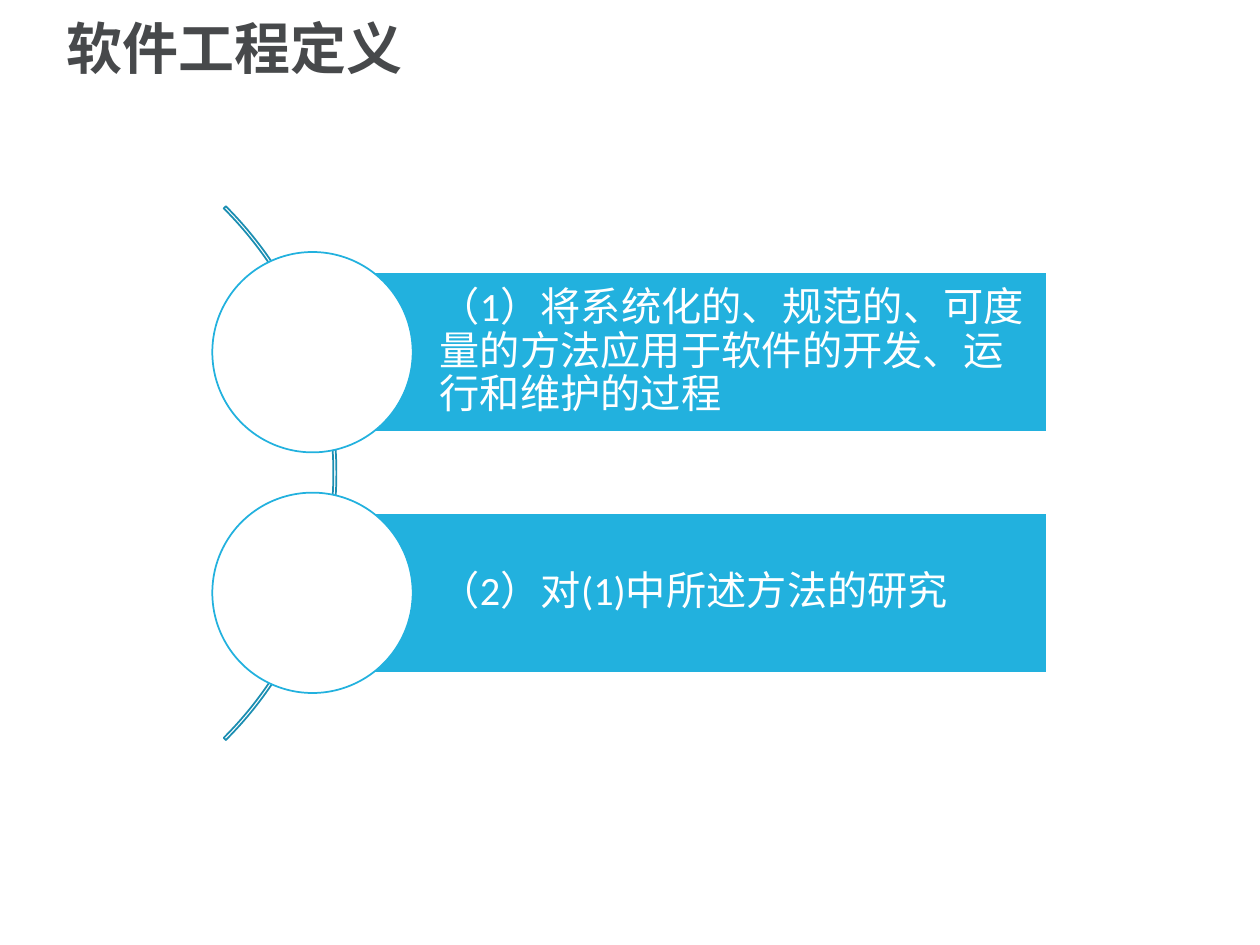
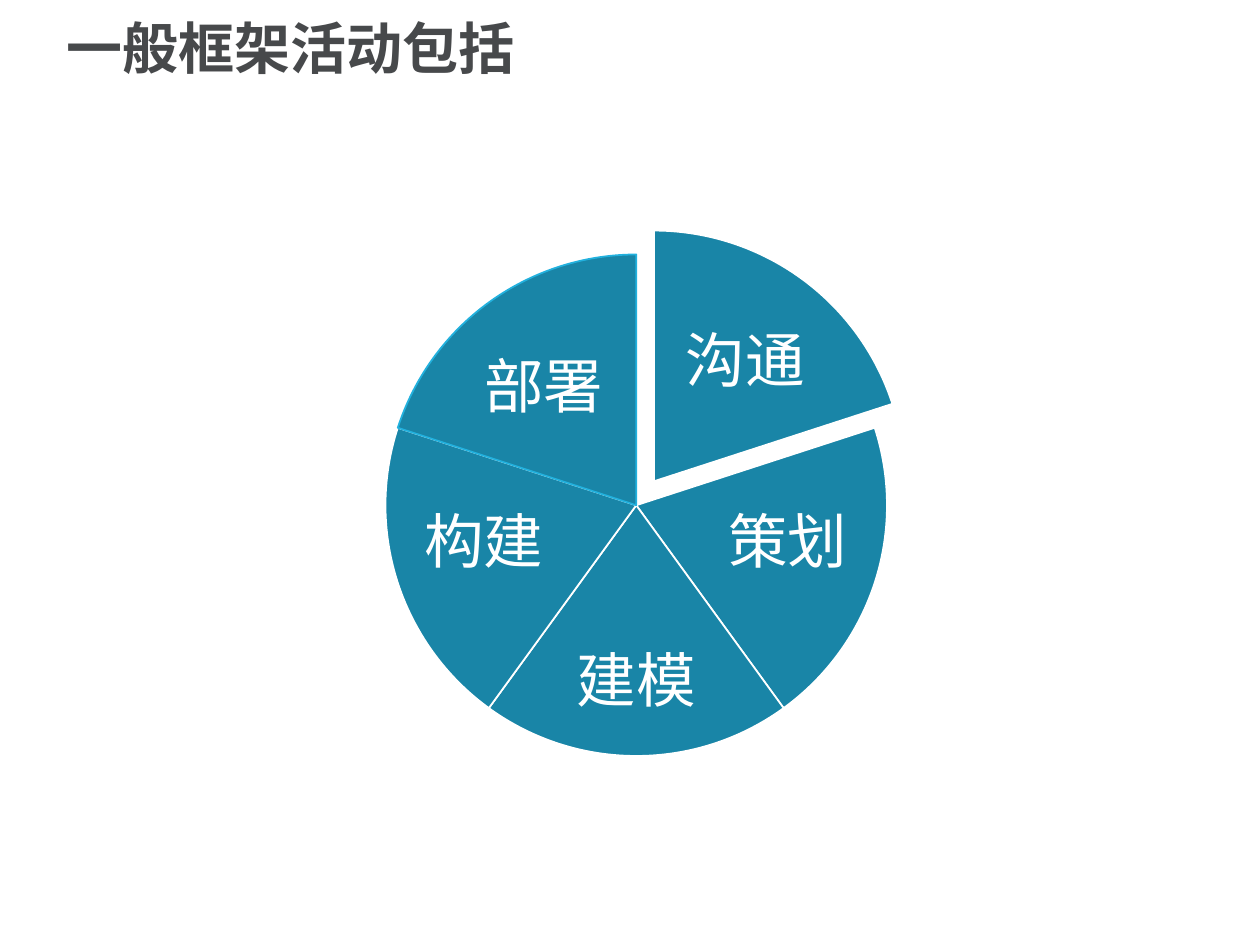
import pptx
import pptx.dml.color
import pptx.enum.shapes
import pptx.enum.text
import pptx.oxml.ns
import pptx.util
from lxml import etree

Inches = pptx.util.Inches
Pt = pptx.util.Pt
SHAPE = pptx.enum.shapes.MSO_SHAPE
ALIGN = pptx.enum.text.PP_ALIGN

DEFINITION_TITLE = "软件工程定义"
DEFINITIONS = [
    "（1）将系统化的、规范的、可度量的方法应用于软件的开发、运行和维护的过程",
    "（2）对(1)中所述方法的研究",
]

ACTIVITY_TITLE = "一般框架活动包括"
# Clockwise from the top: name, label box, outline colour
ACTIVITIES = [
    ("沟通", (5.24, 2.42, 1.35, 0.92), "FFFFFF"),
    ("策划", (5.66, 3.82, 1.18, 1.0), "FFFFFF"),
    ("建模", (4.34, 5.0, 1.42, 0.85), "FFFFFF"),
    ("构建", (3.25, 3.82, 1.18, 1.0), "FFFFFF"),
    ("部署", (3.64, 2.63, 1.35, 0.92), "22B1DE"),
]

CJK_FONT = "Noto Sans CJK SC"
LATIN_FONT = "Calibri"
WHITE, SKY, TEAL, ARC_BLUE, INK = "FFFFFF", "22B1DE", "1985A7", "1B8EB2", "47494B"

TITLE_BOX = (0.43, 0.06, 9.05, 0.7)

ARC_BOX = (-3.32, 0.76, 5.99, 5.99)
BAR_LEFT, BAR_TOP, BAR_WIDTH, BAR_HEIGHT = 2.48, 2.16, 5.83, 1.27
BAR_PITCH = 1.91
CIRCLE_SIZE = 1.59

WHEEL_LEFT, WHEEL_TOP, WHEEL_SIZE = 3.06, 2.02, 3.98
PULLED_OUT = (0.14, -0.19)


def color(value):
    return pptx.dml.color.RGBColor.from_string(value)


def adjustment(degrees):
    """Angle in the unit of shape adjustments (60000ths of a degree / 100000)."""
    return degrees % 360 * 0.6


def write(shape, words, size, ink, font=CJK_FONT, bold=False,
          align=ALIGN.LEFT, insets=(0.1, 0.05, 0.1, 0.05)):
    frame = shape.text_frame
    frame.word_wrap = True
    frame.auto_size = pptx.enum.text.MSO_AUTO_SIZE.NONE
    frame.vertical_anchor = pptx.enum.text.MSO_ANCHOR.MIDDLE
    (frame.margin_left, frame.margin_top,
     frame.margin_right, frame.margin_bottom) = map(Inches, insets)
    paragraph = frame.paragraphs[0]
    paragraph.alignment = align
    paragraph.line_spacing = 0.9
    run = paragraph.add_run()
    run.text = words
    run.font.size = Pt(size)
    run.font.bold = bold
    run.font.name = font
    run.font.color.rgb = color(ink)
    east_asian = etree.SubElement(run.font._element, pptx.oxml.ns.qn("a:ea"))
    east_asian.set("typeface", CJK_FONT)


def add_figure(slide, preset, box, fill, outline, adjustments=()):
    figure = slide.shapes.add_shape(preset, *map(Inches, box))
    figure.shadow.inherit = False
    if fill:
        figure.fill.solid()
        figure.fill.fore_color.rgb = color(fill)
    else:
        figure.fill.background()
    figure.line.color.rgb = color(outline)
    figure.line.width = Pt(1)
    for index, value in enumerate(adjustments):
        figure.adjustments[index] = value
    return figure


def add_titled_slide(deck, heading):
    slide = deck.slides.add_slide(deck.slide_layouts[5])
    title = slide.shapes.title
    title.left, title.top, title.width, title.height = map(Inches, TITLE_BOX)
    write(title, heading, 32, INK, bold=True)
    return slide


def build_definitions(deck):
    slide = add_titled_slide(deck, DEFINITION_TITLE)
    add_figure(slide, SHAPE.BLOCK_ARC, ARC_BOX, None, ARC_BLUE,
               (adjustment(315), adjustment(45), 0.004))
    for row, definition in enumerate(DEFINITIONS):
        top = BAR_TOP + row * BAR_PITCH
        bar = add_figure(slide, SHAPE.RECTANGLE,
                         (BAR_LEFT, top, BAR_WIDTH, BAR_HEIGHT), SKY, WHITE)
        write(bar, definition, 23, WHITE, LATIN_FONT,
              insets=(1.01, 0.06, 0.06, 0.06))
        circle_top = top + (BAR_HEIGHT - CIRCLE_SIZE) / 2
        add_figure(slide, SHAPE.OVAL,
                   (BAR_LEFT - CIRCLE_SIZE / 2, circle_top, CIRCLE_SIZE, CIRCLE_SIZE),
                   WHITE, SKY)


def build_activities(deck):
    slide = add_titled_slide(deck, ACTIVITY_TITLE)
    sweep = 360 / len(ACTIVITIES)
    for position, (activity, label_box, outline) in enumerate(ACTIVITIES):
        shift_x, shift_y = PULLED_OUT if position == 0 else (0, 0)
        start = 270 + position * sweep
        add_figure(slide, SHAPE.PIE,
                   (WHEEL_LEFT + shift_x, WHEEL_TOP + shift_y, WHEEL_SIZE, WHEEL_SIZE),
                   TEAL, outline, (adjustment(start), adjustment(start + sweep)))
        label = slide.shapes.add_textbox(*map(Inches, label_box))
        write(label, activity, 34, WHITE, align=ALIGN.CENTER, insets=(0.05,) * 4)


def main():
    deck = pptx.Presentation()
    deck.slide_width, deck.slide_height = Inches(10), Inches(7.5)
    build_definitions(deck)
    build_activities(deck)
    deck.save("out.pptx")


if __name__ == "__main__":
    main()
